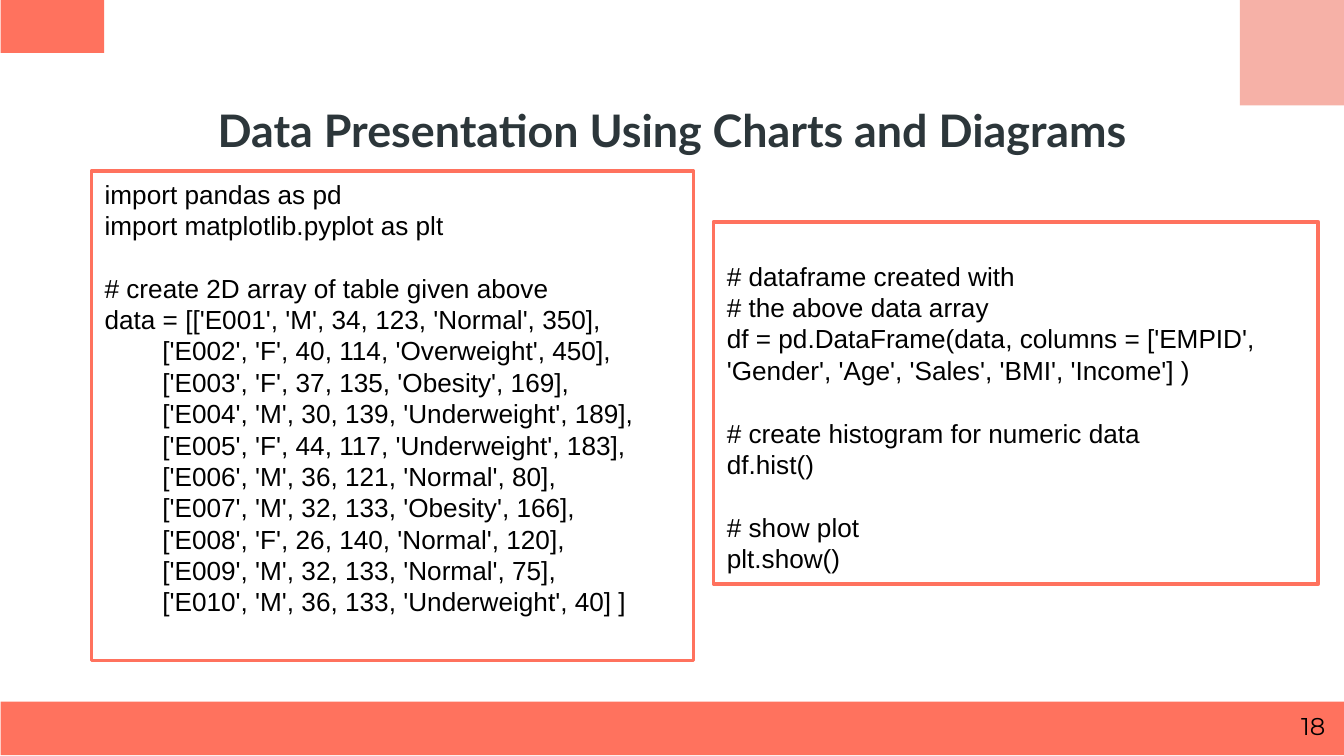
from dataclasses import dataclass

from pptx import Presentation
from pptx.dml.color import RGBColor
from pptx.enum.shapes import MSO_SHAPE as Shape
from pptx.enum.text import MSO_ANCHOR as Anchor, MSO_AUTO_SIZE as AutoSize, PP_ALIGN as Align
from pptx.util import Emu, Pt

PX = 4572  # 200 px to the inch
CORAL, PINK, WHITE, BLACK, SLATE = "FF725E", "F6B1A7", "FFFFFF", "000000", "2C363A"
LINE_HEIGHT = 16.8  # points
CODE_INDENT = 86  # px, eight Arial spaces at 14 pt

TITLE_FONT = {"name": "Lato", "size": Pt(24), "bold": True}
NUMBER_FONT = {"name": "Montserrat", "size": Pt(13)}
CODE_FONT = {"name": "Arial", "size": Pt(14)}


@dataclass(frozen=True)
class Box:
    left: int
    top: int
    width: int
    height: int

    def emu(self) -> list[Emu]:
        return [Emu(v * PX) for v in (self.left, self.top, self.width, self.height)]


@dataclass(frozen=True)
class Band:
    box: Box
    fill: str


@dataclass(frozen=True)
class CodePanel:
    box: Box
    top_inset: int
    blocks: list[list[str]]  # a gap of one line separates the blocks


BANDS = [
    Band(Box(1, 1044, 2000, 80), CORAL),
    Band(Box(1, -1, 154, 80), CORAL),
    Band(Box(1845, -1, 155, 158), PINK),
]

PANELS = [
    CodePanel(Box(136, 255, 896, 728), 10, [
        ["import pandas as pd", "import matplotlib.pyplot as plt"],
        [
            "# create 2D array of table given above",
            "data = [['E001', 'M', 34, 123, 'Normal', 350],",
            "['E002', 'F', 40, 114, 'Overweight', 450],",
            "['E003', 'F', 37, 135, 'Obesity', 169],",
            "['E004', 'M', 30, 139, 'Underweight', 189],",
            "['E005', 'F', 44, 117, 'Underweight', 183],",
            "['E006', 'M', 36, 121, 'Normal', 80],",
            "['E007', 'M', 32, 133, 'Obesity', 166],",
            "['E008', 'F', 26, 140, 'Normal', 120],",
            "['E009', 'M', 32, 133, 'Normal', 75],",
            "['E010', 'M', 36, 133, 'Underweight', 40] ]",
        ],
    ]),
    CodePanel(Box(1062, 330, 900, 539), 57, [
        [
            "# dataframe created with",
            "# the above data array",
            "df = pd.DataFrame(data, columns = ['EMPID', 'Gender', 'Age', 'Sales', 'BMI', 'Income'] )",
        ],
        ["# create histogram for numeric data", "df.hist()"],
        ["# show plot", "plt.show()"],
    ]),
]


def color(value: str) -> RGBColor:
    return RGBColor.from_string(value)


def apply(target, values: dict) -> None:
    for name, value in values.items():
        setattr(target, name, value)


def format_frame(frame, anchor, side: int, top: int) -> None:
    apply(frame, {
        "word_wrap": True, "auto_size": AutoSize.NONE, "vertical_anchor": anchor,
        "margin_left": Emu(side * PX), "margin_right": Emu(side * PX),
        "margin_top": Emu(top * PX), "margin_bottom": Emu(10 * PX),
    })


def write(paragraph, text: str, font: dict, ink: str, align) -> None:
    run = paragraph.add_run()
    run.text = text
    apply(run.font, font)
    run.font.color.rgb = color(ink)
    paragraph.alignment = align


def add_rectangle(slide, box: Box, fill: str, line: str | None = None):
    shape = slide.shapes.add_shape(Shape.RECTANGLE, *box.emu())
    shape.shadow.inherit = False
    shape.fill.solid()
    shape.fill.fore_color.rgb = color(fill)
    if line:
        shape.line.color.rgb = color(line)
        shape.line.width = Pt(2)
    else:
        shape.line.fill.background()
    return shape


def add_code_panel(slide, panel: CodePanel) -> None:
    frame = add_rectangle(slide, panel.box, WHITE, CORAL).text_frame
    format_frame(frame, Anchor.TOP, 20, panel.top_inset)
    paragraph = frame.paragraphs[0]
    for block_index, block in enumerate(panel.blocks):
        for line_index, text in enumerate(block):
            if block_index or line_index:
                paragraph = frame.add_paragraph()
            write(paragraph, text, CODE_FONT, BLACK, Align.LEFT)
            paragraph.line_spacing = Pt(LINE_HEIGHT)
            if block_index and line_index == 0:
                paragraph.space_before = Pt(LINE_HEIGHT)
            if text.startswith("["):
                paragraph._p.get_or_add_pPr().set("marL", str(CODE_INDENT * PX))


def main() -> None:
    presentation = Presentation()
    presentation.slide_width, presentation.slide_height = Emu(2000 * PX), Emu(1125 * PX)
    slide = presentation.slides.add_slide(presentation.slide_layouts[5])

    # Corner blocks and footer band
    for band in BANDS:
        add_rectangle(slide, band.box, band.fill)

    # Title
    title = slide.shapes.title
    apply(title, dict(zip(("left", "top", "width", "height"), Box(131, 144, 1738, 98).emu())))
    format_frame(title.text_frame, Anchor.MIDDLE, 20, 10)
    write(title.text_frame.paragraphs[0], "Data Presentation Using Charts and Diagrams",
          TITLE_FONT, SLATE, Align.CENTER)

    # Slide number
    number = slide.shapes.add_textbox(*Box(1872, 1039, 120, 86).emu()).text_frame
    format_frame(number, Anchor.TOP, 20, 20)
    write(number.paragraphs[0], "18", NUMBER_FONT, BLACK, Align.RIGHT)

    # Code panels
    for panel in PANELS:
        add_code_panel(slide, panel)

    presentation.save("out.pptx")


if __name__ == "__main__":
    main()
